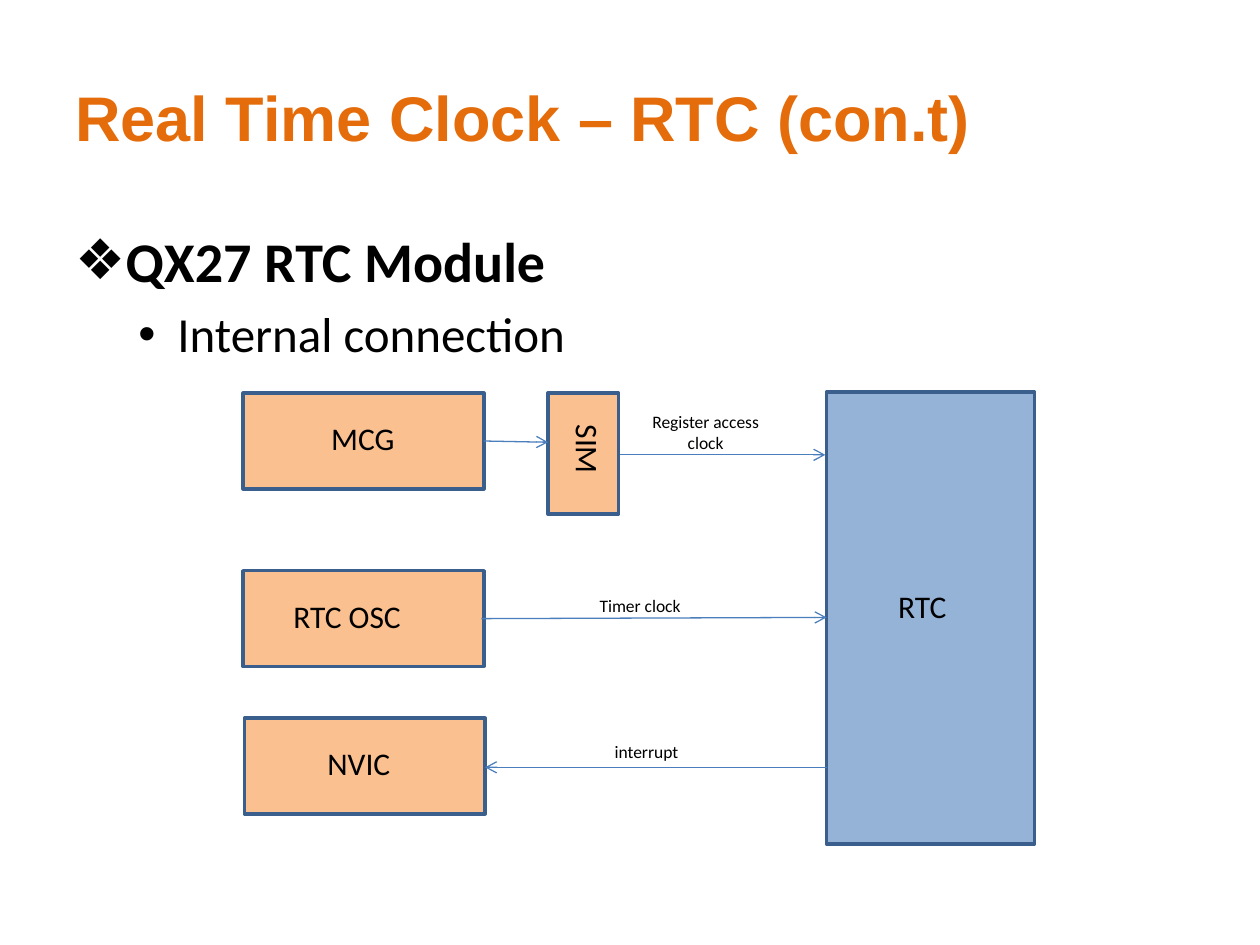
"""Build the slide on the internal connections of the QX27 RTC module."""
from dataclasses import dataclass
from typing import Optional

from lxml.etree import SubElement
from pptx import Presentation
from pptx.dml.color import RGBColor
from pptx.enum.shapes import MSO_CONNECTOR as Connector, MSO_SHAPE as Preset
from pptx.enum.text import MSO_ANCHOR as Anchor, MSO_AUTO_SIZE as AutoSize, PP_ALIGN as Align
from pptx.oxml.ns import qn
from pptx.util import Inches, Pt

COLORS = {
    "title": "E46C0A", "text": "000000", "source": "FAC090",
    "clock": "95B3D7", "border": "3A5F8C", "signal": "4B7EBC",
}
COLUMNS, ROWS = 100, 75
WIDTH, HEIGHT = Inches(10), Inches(7.5)
BLOCK_LEFT, BLOCK_WIDTH, BLOCK_HEIGHT = 19.3, 19.1, 7.6


@dataclass(frozen=True)
class Area:
    left: float
    top: float
    width: float
    height: float

    def emu(self) -> tuple[int, int, int, int]:
        return col(self.left), row(self.top), col(self.width), row(self.height)


@dataclass(frozen=True)
class Block:
    name: str
    area: Area
    label: Area
    fill: str = "source"
    grouped: bool = True
    vertical: bool = False


@dataclass(frozen=True)
class Signal:
    start: tuple[float, float]
    end: tuple[float, float]
    lines: tuple[str, ...] = ()
    label: Optional[Area] = None
    arrow_at: str = "tailEnd"


@dataclass(frozen=True)
class Bullet:
    mark: str
    margin: float
    hanging: float


def col(count: float) -> int:
    return round(WIDTH * count / COLUMNS)


def row(count: float) -> int:
    return round(HEIGHT * count / ROWS)


def rgb(name: str) -> RGBColor:
    return RGBColor.from_string(COLORS[name])


def write(paragraph, text: str, *, size: float, font: str = "Calibri", color: str = "text",
          bold: bool = False, align: Align = Align.LEFT, level: int = 0,
          bullet: Optional[Bullet] = None) -> None:
    run = paragraph.add_run()
    run.text = text
    run.font.size, run.font.name, run.font.bold = Pt(size), font, bold
    run.font.color.rgb = rgb(color)
    paragraph.alignment, paragraph.level = align, level
    if bullet:
        paragraph.space_before = Pt(size * 0.2)
        properties = paragraph._p.get_or_add_pPr()
        properties.set("marL", str(Inches(bullet.margin)))
        properties.set("indent", str(-Inches(bullet.hanging)))
        SubElement(properties, qn("a:buFont"), typeface="Arial")
        SubElement(properties, qn("a:buChar"), char=bullet.mark)


def add_frame(parent, area: Area, wrap: bool = False):
    frame = parent.add_textbox(*area.emu()).text_frame
    frame.word_wrap = wrap
    frame.auto_size = AutoSize.NONE if wrap else AutoSize.SHAPE_TO_FIT_TEXT
    return frame


def draw_block(shapes, block: Block) -> None:
    parent = shapes.add_group_shape().shapes if block.grouped else shapes
    body = parent.add_shape(Preset.RECTANGLE, *block.area.emu())
    body.shadow.inherit = False
    body.fill.solid()
    body.fill.fore_color.rgb = rgb(block.fill)
    body.line.color.rgb = rgb("border")
    body.line.width = Pt(2)
    frame = add_frame(parent, block.label)
    if block.vertical:
        frame._txBody.bodyPr.set("vert", "vert")
    write(frame.paragraphs[0], block.name, size=18,
          align=Align.RIGHT if block.vertical else Align.LEFT)


def draw_signal(shapes, signal: Signal) -> None:
    (x1, y1), (x2, y2) = signal.start, signal.end
    wire = shapes.add_connector(Connector.STRAIGHT, col(x1), row(y1), col(x2), row(y2))
    wire.line.color.rgb = rgb("signal")
    wire.line.width = Pt(0.75)
    SubElement(wire.line._get_or_add_ln(), qn(f"a:{signal.arrow_at}"), type="arrow")
    SubElement(wire._element.spPr, qn("a:effectLst"))
    if signal.label:
        frame = add_frame(shapes, signal.label)
        for index, line in enumerate(signal.lines):
            paragraph = frame.add_paragraph() if index else frame.paragraphs[0]
            write(paragraph, line, size=10, align=Align.CENTER if index else Align.LEFT)


def source_block(name: str, top: float, label_left: float, label_width: float,
                 shift: float = 0, grouped: bool = True) -> Block:
    return Block(name, Area(BLOCK_LEFT + shift, top, BLOCK_WIDTH, BLOCK_HEIGHT),
                 Area(label_left, top + 1.6, label_width, 4), grouped=grouped)


BLOCKS = (
    Block("RTC", Area(65.6, 31.1, 16.5, 35.9), Area(70.3, 46.1, 7.2, 4), fill="clock"),
    Block("SIM", Area(43.5, 31.2, 5.6, 9.6), Area(43.7, 33.1, 5, 5.5),
          grouped=False, vertical=True),
    source_block("NVIC", 57, 25, 8.1, shift=0.1),
    source_block("MCG", 31.2, 25.3, 7.9),
    source_block("RTC OSC", 45.3, 22.3, 13.3, grouped=False),
)
SIGNALS = (
    Signal((38.5, 60.9), (65.6, 60.9), ("interrupt",), Area(47.8, 58.3, 7.1, 2.7), "headEnd"),
    Signal((49.2, 36.1), (65.5, 36.1), ("Register access", "clock"),
           Area(50.8, 32.1, 12, 4.4)),
    Signal((38.4, 35), (43.5, 35.1)),
    Signal((38.2, 49.1), (65.6, 49), ("Timer clock",), Area(46.6, 46.7, 9.2, 2.7)),
)


def main() -> None:
    deck = Presentation()
    deck.slide_width, deck.slide_height = WIDTH, HEIGHT
    shapes = deck.slides.add_slide(deck.slide_layouts[6]).shapes

    heading = add_frame(shapes, Area(5, 3, 74.9, 12.5), wrap=True)
    heading.vertical_anchor = Anchor.MIDDLE
    write(heading.paragraphs[0], "Real Time Clock – RTC (con.t)", size=36, font="Arial",
          color="title", bold=True)

    outline = add_frame(shapes, Area(5, 17.5, 90, 49.5), wrap=True)
    write(outline.paragraphs[0], "QX27 RTC Module", size=32, bold=True,
          bullet=Bullet("❖", 0.38, 0.38))
    write(outline.add_paragraph(), "Internal connection", size=28, level=1,
          bullet=Bullet("•", 0.81, 0.31))

    for block in BLOCKS:
        draw_block(shapes, block)
    for signal in SIGNALS:
        draw_signal(shapes, signal)
    deck.save("out.pptx")


if __name__ == "__main__":
    main()
